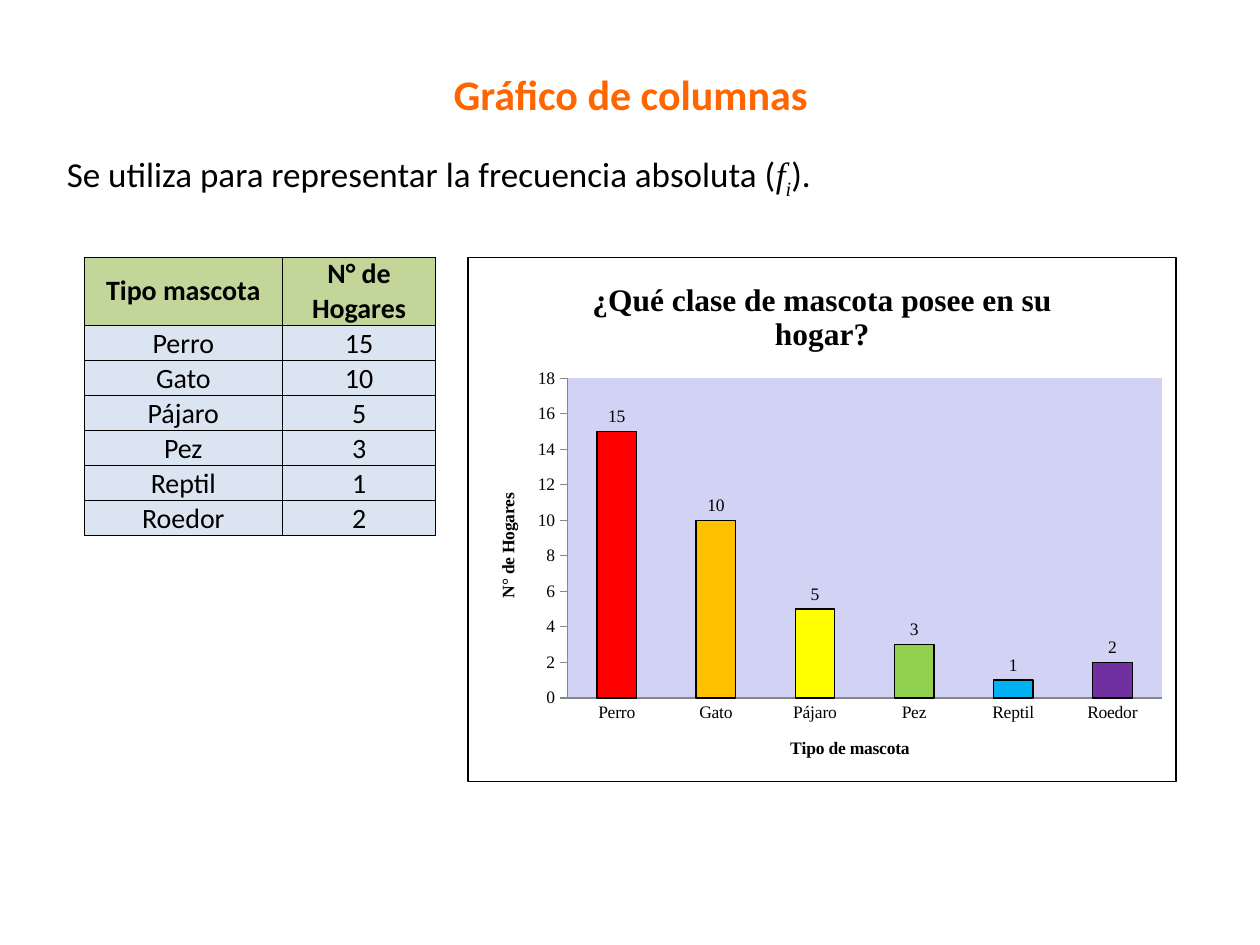
from lxml import etree
from pptx import Presentation
from pptx import util as u
from pptx.chart.data import CategoryChartData
from pptx.dml.color import RGBColor
from pptx.enum import chart as ch, text
from pptx.oxml import parse_xml
from pptx.oxml.ns import nsdecls, qn

# Grid of 100 columns by 75 rows
SLIDE_W, SLIDE_H = u.Inches(10), u.Inches(7.5)
COL, ROW = SLIDE_W / 100, SLIDE_H / 75

ORANGE = RGBColor(0xFF, 0x66, 0x00)
BLACK = RGBColor(0x00, 0x00, 0x00)
AXIS_GREY = RGBColor(0x86, 0x86, 0x86)
HEADER_GREEN = RGBColor(0xC2, 0xD6, 0x9A)
BODY_BLUE = RGBColor(0xDB, 0xE5, 0xF1)
PLOT_LILAC = RGBColor(0xD2, 0xD2, 0xF4)

SANS, SERIF = "Calibri", "Times New Roman"
PETS = [
    ("Perro", 15, RGBColor(0xFF, 0x00, 0x00)),
    ("Gato", 10, RGBColor(0xFF, 0xC0, 0x00)),
    ("Pájaro", 5, RGBColor(0xFF, 0xFF, 0x00)),
    ("Pez", 3, RGBColor(0x92, 0xD0, 0x50)),
    ("Reptil", 1, RGBColor(0x00, 0xB0, 0xF0)),
    ("Roedor", 2, RGBColor(0x70, 0x30, 0xA0)),
]


def cells(left, top, width, height):
    """Turn grid columns and rows into slide lengths."""
    return (u.Emu(int(left * COL)), u.Emu(int(top * ROW)),
            u.Emu(int(width * COL)), u.Emu(int(height * ROW)))


def set_font(font, name, size, color=BLACK, bold=False):
    font.name, font.size, font.bold = name, u.Pt(size), bold
    font.color.rgb = color


def place(holder, *area):
    """Move a placeholder and return its first paragraph."""
    holder.left, holder.top, holder.width, holder.height = cells(*area)
    frame = holder.text_frame
    frame.vertical_anchor = text.MSO_ANCHOR.TOP
    frame.auto_size = text.MSO_AUTO_SIZE.NONE
    return frame.paragraphs[0]


def add_heading(slide):
    heading = place(slide.shapes.title, 7.9, 4.9, 84.3, 9.1)
    heading.text = "Gráfico de columnas"
    heading.alignment = text.PP_ALIGN.CENTER
    set_font(heading.font, SANS, 24, ORANGE, bold=True)


def add_statement(slide):
    statement = place(slide.placeholders[1], 4.3, 11.6, 91.4, 4.4)
    statement.alignment = text.PP_ALIGN.JUSTIFY
    statement.space_before = u.Pt(0)
    props = statement._p.get_or_add_pPr()
    props.set("marL", "0")
    props.set("indent", "0")
    etree.SubElement(props, qn("a:buNone"))
    parts = [("Se utiliza para representar la frecuencia absoluta (", SANS),
             ("f", SERIF), ("i", SERIF), (").", SANS)]
    for wording, face in parts:
        run = statement.add_run()
        run.text = wording
        set_font(run.font, face, 20)
        run.font.italic = face == SERIF
        if wording == "i":
            run._r.get_or_add_rPr().set("baseline", "-25000")


def add_borders(cell):
    props = cell._tc.get_or_add_tcPr()
    for index, side in enumerate(("lnL", "lnR", "lnT", "lnB")):
        props.insert(index, parse_xml(
            f'<a:{side} {nsdecls("a")} w="{u.Pt(0.5)}"><a:solidFill>'
            f'<a:srgbClr val="{BLACK}"/></a:solidFill></a:{side}>'))


def fill_cell(cell, wording, is_header):
    cell.margin_left = cell.margin_right = cell.margin_top = cell.margin_bottom = 0
    cell.vertical_anchor = (text.MSO_ANCHOR.MIDDLE if is_header
                            else text.MSO_ANCHOR.BOTTOM)
    cell.fill.solid()
    cell.fill.fore_color.rgb = HEADER_GREEN if is_header else BODY_BLUE
    add_borders(cell)
    cell.text = str(wording)
    paragraph = cell.text_frame.paragraphs[0]
    paragraph.alignment = text.PP_ALIGN.CENTER
    set_font(paragraph.font, SANS, 16, bold=is_header)


def add_frequency_table(slide):
    rows = [("Tipo mascota", "N° de Hogares")] + [pet[:2] for pet in PETS]
    table = slide.shapes.add_table(len(rows), 2, *cells(6.7, 20.4, 27.9, 22)).table
    for column, width in zip(table.columns, (15.7, 12.2)):
        column.width = u.Emu(int(width * COL))
    for r, row in enumerate(rows):
        height = 5.3 if r == 0 else 2.78
        table.rows[r].height = u.Emu(int(height * ROW))
        for c, wording in enumerate(row):
            fill_cell(table.cell(r, c), wording, r == 0)


def write_title(owner, wording, size):
    """Title a chart or an axis."""
    owner.has_title = True
    title = (owner.chart_title if hasattr(owner, "chart_title")
             else owner.axis_title)
    paragraph = title.text_frame.paragraphs[0]
    paragraph.text = wording
    set_font(paragraph.font, SERIF, size, bold=True)


def style_axis(axis, wording, tick):
    axis.has_major_gridlines = False
    axis.major_tick_mark = tick
    axis.minor_tick_mark = ch.XL_TICK_MARK.NONE
    axis.format.line.color.rgb = AXIS_GREY
    set_font(axis.tick_labels.font, SERIF, 10)
    write_title(axis, wording, 10)


def style_columns(plot):
    plot.gap_width = 150
    plot.vary_by_categories = False
    plot.has_data_labels = True
    labels = plot.data_labels
    labels.show_value = True
    labels.position = ch.XL_LABEL_POSITION.OUTSIDE_END
    set_font(labels.font, SERIF, 10)
    for index, (_, _, color) in enumerate(PETS):
        column = plot.series[0].points[index].format
        column.fill.solid()
        column.fill.fore_color.rgb = color
        column.line.color.rgb = BLACK
        column.line.width = u.Pt(0.75)


def frame_chart(chart):
    """Set the plot's position and fill, and the outer border."""
    space = chart._chartSpace
    area = space.find(".//" + qn("c:plotArea"))
    for old in area.findall(qn("c:layout")):
        area.remove(old)
    shares = "".join(f'<c:{key} val="{share}"/>' for key, share in
                     (("x", 0.14), ("y", 0.23), ("w", 0.84), ("h", 0.61)))
    area.insert(0, parse_xml(
        f'<c:layout {nsdecls("c")}><c:manualLayout><c:layoutTarget val="inner"/>'
        f'<c:xMode val="edge"/><c:yMode val="edge"/>{shares}'
        '</c:manualLayout></c:layout>'))
    area.append(parse_xml(
        f'<c:spPr {nsdecls("c", "a")}><a:solidFill>'
        f'<a:srgbClr val="{PLOT_LILAC}"/></a:solidFill></c:spPr>'))
    space.find(qn("c:chart")).addnext(parse_xml(
        f'<c:spPr {nsdecls("c", "a")}><a:noFill/><a:ln w="{u.Pt(0.75)}">'
        f'<a:solidFill><a:srgbClr val="{BLACK}"/></a:solidFill></a:ln></c:spPr>'))


def add_pet_chart(slide):
    data = CategoryChartData()
    data.categories = [name for name, _, _ in PETS]
    data.add_series("N° de Hogares", [homes for _, homes, _ in PETS])
    chart = slide.shapes.add_chart(ch.XL_CHART_TYPE.COLUMN_CLUSTERED,
                                   *cells(37.1, 20.4, 56.3, 41.7), data).chart
    set_font(chart.font, SERIF, 10)
    chart.has_legend = False
    write_title(chart, "¿Qué clase de mascota posee en su hogar?", 18)
    style_axis(chart.category_axis, "Tipo de mascota", ch.XL_TICK_MARK.NONE)
    style_axis(chart.value_axis, "N° de Hogares", ch.XL_TICK_MARK.OUTSIDE)
    chart.value_axis.minimum_scale = 0
    chart.value_axis.maximum_scale = 18
    chart.value_axis.major_unit = 2
    style_columns(chart.plots[0])
    frame_chart(chart)


def main():
    deck = Presentation()
    deck.slide_width, deck.slide_height = SLIDE_W, SLIDE_H
    slide = deck.slides.add_slide(deck.slide_layouts[1])
    add_heading(slide)
    add_statement(slide)
    add_frequency_table(slide)
    add_pet_chart(slide)
    deck.save("out.pptx")


if __name__ == "__main__":
    main()
